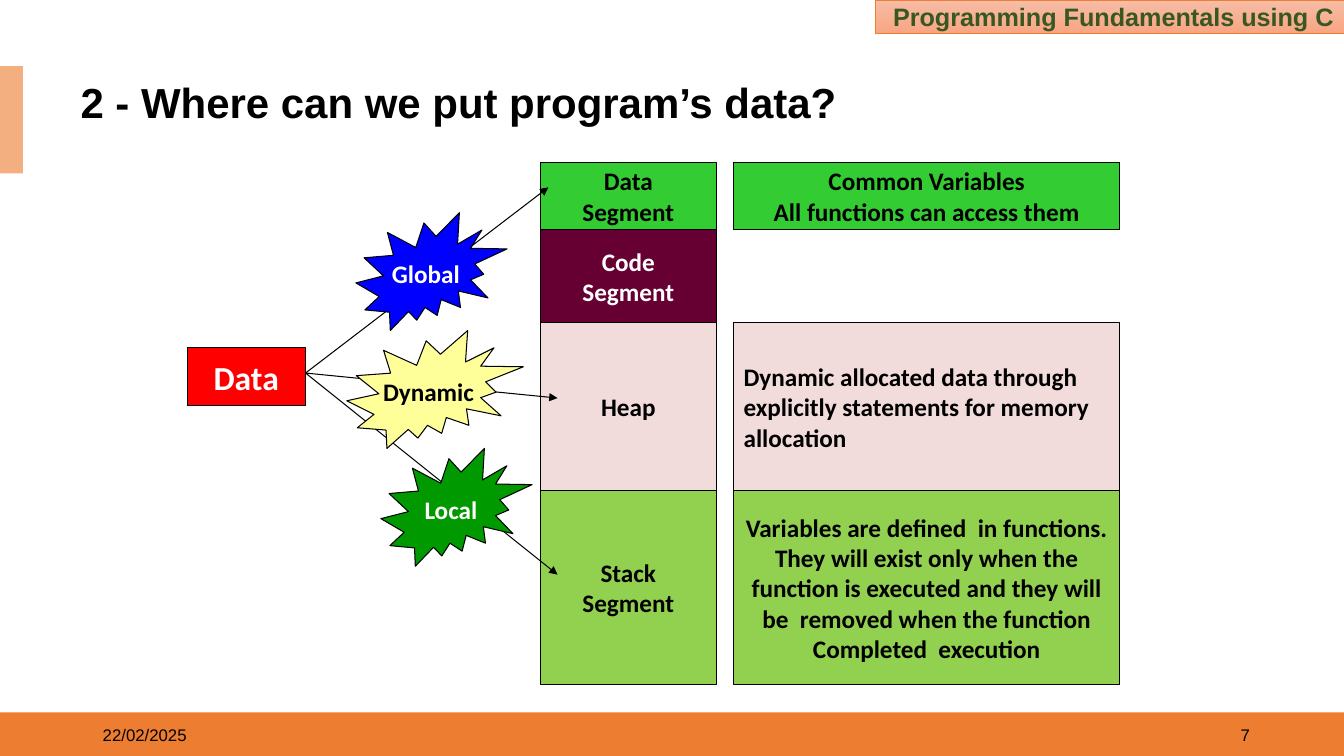
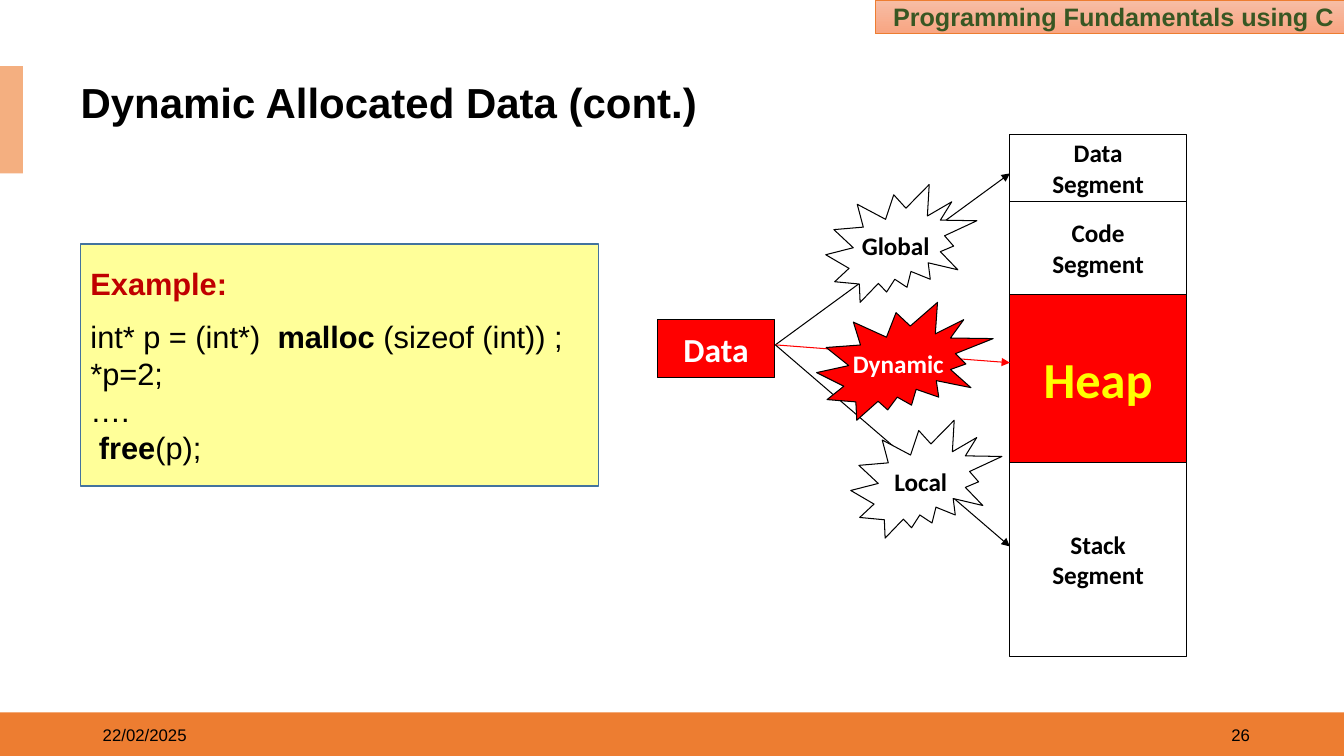
"""Build two slides on where a C program keeps its data."""
from lxml import etree
from pptx import Presentation
from pptx.dml.color import RGBColor
from pptx.enum.shapes import MSO_CONNECTOR, MSO_SHAPE
from pptx.enum.text import MSO_ANCHOR, PP_ALIGN
from pptx.oxml.ns import qn
from pptx.util import Cm, Pt

RECT, BURST = MSO_SHAPE.RECTANGLE, MSO_SHAPE.EXPLOSION2
STRAIGHT = MSO_CONNECTOR.STRAIGHT
LEFT, CENTER, RIGHT = PP_ALIGN.LEFT, PP_ALIGN.CENTER, PP_ALIGN.RIGHT
MIDDLE = MSO_ANCHOR.MIDDLE

COLORS = {
    "black": "000000", "white": "FFFFFF", "red": "FF0000", "yellow": "FFFF00",
    "band": "ED7D31", "tab": "F4AF80", "header_top": "F7BDA5",
    "header_bottom": "F8A582", "header_text": "385723", "global": "0000FF",
    "dynamic": "FFFF99", "local": "009900", "data": "33CC33",
    "code": "660033", "heap": "F2DCDB", "stack": "92D050",
    "example_line": "43739E", "example_title": "C00000",
}
RGB = {name: RGBColor.from_string(value) for name, value in COLORS.items()}


def add_box(s, shape, x, y, w, h, fill=None, line=None, width=0.75):
    if shape is None:
        return s.shapes.add_textbox(Cm(x), Cm(y), Cm(w), Cm(h))
    sp = s.shapes.add_shape(shape, Cm(x), Cm(y), Cm(w), Cm(h))
    sp.shadow.inherit = False
    if fill:
        sp.fill.solid()
        sp.fill.fore_color.rgb = RGB[fill]
    if line:
        sp.line.color.rgb = RGB[line]
        sp.line.width = Pt(width)
    else:
        sp.line.fill.background()
    return sp


def add_text(sp, text, size=18, font="Calibri", color="black", bold=True,
             align=CENTER, wrap=False, spacing=None):
    tf = sp.text_frame
    tf.word_wrap = wrap
    tf.vertical_anchor = MIDDLE
    for i, line in enumerate(text.split("\n")):
        p = tf.paragraphs[0] if i == 0 else tf.add_paragraph()
        p.alignment = align
        if spacing:
            p.line_spacing = spacing
        r = p.add_run()
        r.text = line
        r.font.size, r.font.name, r.font.bold = Pt(size), font, bold
        r.font.color.rgb = RGB[color]


SEGMENTS = [("Data\nSegment", 1.7), ("Code\nSegment", 2.34),
            ("Heap", 4.24), ("Stack\nSegment", 4.88)]
BURSTS = [("Local", 9.6, 11.3, 3.81), ("Global", 8.97, 5.36, 3.81),
          ("Dynamic", 8.74, 8.33, 4.45)]
NOTES = [
    ("Common Variables\nAll functions can access them", CENTER),
    None,
    ("Dynamic allocated data through\nexplicitly statements for memory\n"
     "allocation", LEFT),
    ("Variables are defined  in functions.\nThey will exist only when the\n"
     "function is executed and they will\nbe  removed when the function\n"
     "Completed  execution", CENTER),
]
SLIDES = [
    {"title": "2 - Where can we put program’s data?", "number": "7",
     "dx": 0, "dy": 0, "notes": NOTES,
     "segments": [("data", "black", 18), ("code", "white", 18),
                  ("heap", "black", 18), ("stack", "black", 18)],
     "bursts": [("local", "white"), ("global", "white"),
                ("dynamic", "black")],
     "arrows": [(13.82, 4.72, "black"), (14.05, 10.03, "black"),
                (14.05, 14.48, "black")]},
    {"title": "Dynamic Allocated Data (cont.)", "number": "26",
     "dx": 11.84, "dy": -0.71, "notes": [None] * 4,
     "segments": [("white", "black", 18), ("white", "black", 18),
                  ("red", "yellow", 36), ("white", "black", 18)],
     "bursts": [("white", "black"), ("white", "black"), ("red", "white")],
     "arrows": [(13.61, 5.08, "black"), (13.61, 9.85, "red"),
                (13.61, 14.48, "black")]},
]

prs = Presentation()
prs.slide_width, prs.slide_height = Cm(33.87), Cm(19.05)

for page in SLIDES:
    s = prs.slides.add_slide(prs.slide_layouts[6])
    dx, dy = page["dx"], page["dy"]

    add_box(s, RECT, 0, 17.95, 33.87, 1.1, "band")
    add_box(s, RECT, 0, 1.67, 0.58, 2.7, "tab")
    header = add_box(s, RECT, 22.06, 0, 11.81, 0.85, line="band", width=0.5)
    header.fill.gradient()
    header.fill.gradient_angle = 270
    for stop, name in zip(header.fill.gradient_stops,
                          ("header_top", "header_bottom")):
        stop.color.rgb = RGB[name]
    add_text(header, "Programming Fundamentals using C", font="Arial",
             color="header_text", align=RIGHT, wrap=True)
    add_text(add_box(s, None, 1.78, 2, 30.78, 1.3), page["title"], size=30,
             font="Arial", align=LEFT, wrap=True, spacing=0.9)
    for text, x, align in ((page["number"], 24.13, RIGHT),
                           ("22/02/2025", 2.34, LEFT)):
        add_text(add_box(s, None, x, 18, 7.62, 1.02), text, size=12,
                 font="Arial", bold=False, align=align, wrap=True)

    y = 4.09 + dy
    for (text, h), (fill, color, size), note in zip(
            SEGMENTS, page["segments"], page["notes"]):
        sp = add_box(s, RECT, 13.61 + dx, y, 4.45, h, fill, "black")
        add_text(sp, text, size=size, color=color)
        if note:
            sp = add_box(s, RECT, 18.49, y, 9.73, h, fill, "black")
            add_text(sp, note[0], align=note[1])
        y += h

    sp = add_box(s, RECT, 4.72 + dx, 8.76 + dy, 2.97, 1.47, "red", "black")
    add_text(sp, "Data", size=24, color="white")

    for x, y, color in page["arrows"]:
        arrow = s.shapes.add_connector(STRAIGHT, Cm(7.7 + dx), Cm(9.4 + dy),
                                       Cm(x + dx), Cm(y + dy))
        arrow.line.color.rgb = RGB[color]
        arrow.line.width = Pt(0.75)
        props = arrow.element.spPr
        etree.SubElement(props.find(qn("a:ln")), qn("a:tailEnd"),
                         type="triangle")
        etree.SubElement(props, qn("a:effectLst"))

    for (text, x, y, w), (fill, color) in zip(BURSTS, page["bursts"]):
        sp = add_box(s, BURST, x + dx, y + dy, w, 2.97, fill, "black")
        add_text(sp, text, color=color)

example = add_box(s, RECT, 2.03, 6.15, 13.06, 6.1, "dynamic",
                  "example_line", 1)
add_text(example, "Example:", size=22, font="Arial", color="example_title",
         align=LEFT, wrap=True)
CODE = [
    [("int* p = (int*)  ", False), ("malloc", True),
     (" (sizeof (int)) ;", False)],
    [("*p=2;", False)],
    [("….", False)],
    [(" ", False), ("free", True), ("(p);", False)],
]
for i, line in enumerate(CODE):
    p = example.text_frame.add_paragraph()
    p.alignment = LEFT
    p.space_before = Pt(0 if i else 12)
    for text, bold in line:
        r = p.add_run()
        r.text = text
        r.font.size, r.font.name, r.font.bold = Pt(22), "Arial", bold
        r.font.color.rgb = RGB["black"]

prs.save("out.pptx")
